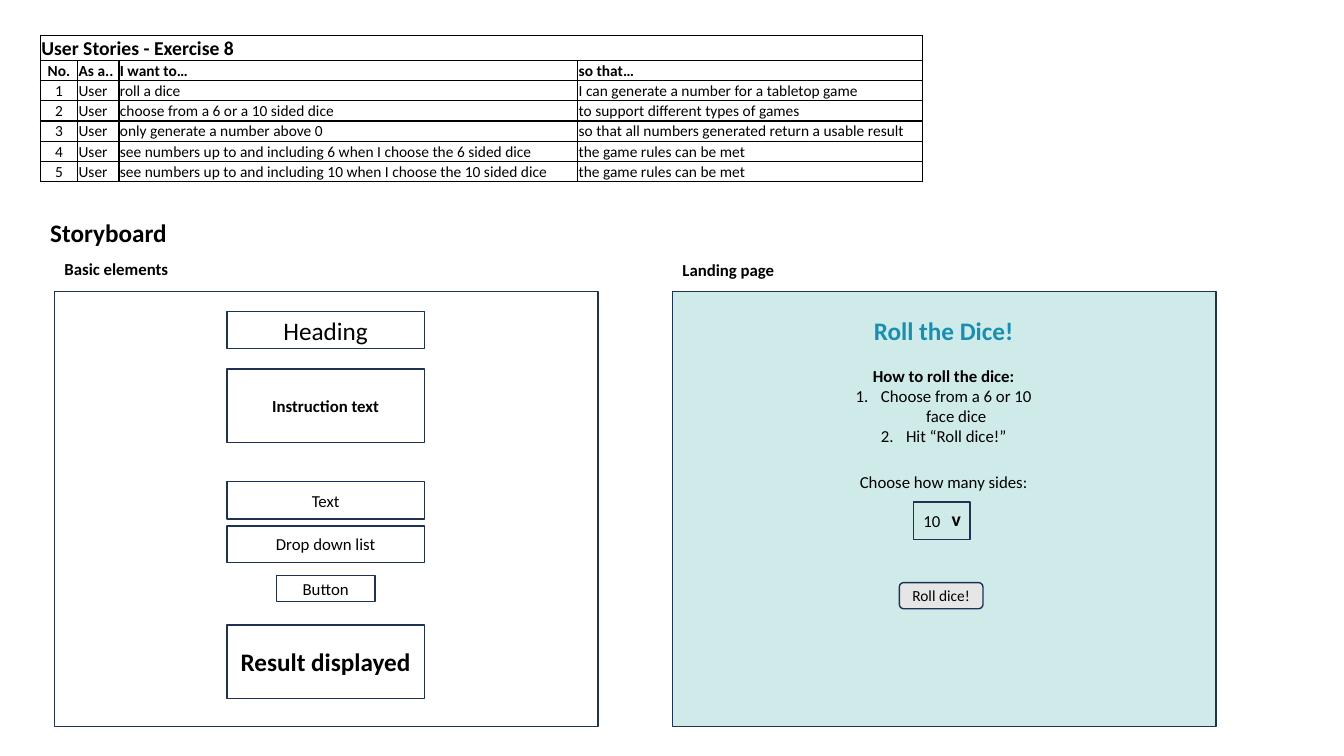
from lxml.etree import SubElement
from pptx import Presentation
from pptx.dml.color import RGBColor
from pptx.enum.shapes import MSO_SHAPE
from pptx.enum.text import MSO_ANCHOR, PP_ALIGN
from pptx.oxml.ns import qn
from pptx.util import Pt

EMU_PER_PX = 9144
BLACK = RGBColor(0x00, 0x00, 0x00)
WHITE = RGBColor(0xFF, 0xFF, 0xFF)
NAVY = RGBColor(0x1E, 0x32, 0x56)
MINT = RGBColor(0xCE, 0xEB, 0xEA)
TEAL = RGBColor(0x16, 0x8F, 0xB2)
BUTTON_GREY = RGBColor(0xE7, 0xE6, 0xE6)
FONT = "Calibri"

COLUMN_WIDTHS = (37, 41, 455, 342)
TITLE_HEIGHT, ROW_HEIGHT = 25, 20
STORIES_TITLE = "User Stories - Exercise 8"
HEADERS = ("No.", "As a..", "I want to…", "so that…")
STORIES = (
    ("roll a dice", "I can generate a number for a tabletop game"),
    ("choose from a 6 or a 10 sided dice", "to support different types of games"),
    ("only generate a number above 0", "so that all numbers generated return a usable result"),
    ("see numbers up to and including 6 when I choose the 6 sided dice", "the game rules can be met"),
    ("see numbers up to and including 10 when I choose the 10 sided dice", "the game rules can be met"),
)
PANEL_TOP, PANEL_WIDTH, PANEL_HEIGHT = 289, 539, 432
BASIC_LEFT, LANDING_LEFT = 54, 667
ELEMENT_LEFT, LANDING_TEXT_LEFT, ELEMENT_WIDTH = 225, 838, 196


def px(length):
    return length * EMU_PER_PX


def write_text(frame, text, size=12, bold=False, color=BLACK,
               align=PP_ALIGN.CENTER, numbered=False):
    paragraph = frame.paragraphs[-1]
    if paragraph.runs:
        paragraph = frame.add_paragraph()
    paragraph.alignment = align
    if numbered:
        properties = paragraph._p.get_or_add_pPr()
        properties.set("marL", str(px(25)))
        properties.set("indent", str(-px(25)))
        SubElement(properties, qn("a:buAutoNum"), type="arabicPeriod")
    run = paragraph.add_run()
    run.text = text
    run.font.name = FONT
    run.font.size = Pt(size)
    run.font.bold = bold
    run.font.color.rgb = color


def add_box(slide, left, top, width, height, text="", fill=None,
            kind=MSO_SHAPE.RECTANGLE, **text_format):
    box = slide.shapes.add_shape(kind, px(left), px(top), px(width), px(height))
    box.shadow.inherit = False
    box.line.color.rgb = NAVY
    box.line.width = Pt(1)
    if fill is None:
        box.fill.background()
    else:
        box.fill.solid()
        box.fill.fore_color.rgb = fill
    box.text_frame.vertical_anchor = MSO_ANCHOR.MIDDLE
    if text:
        write_text(box.text_frame, text, **text_format)


def add_label(slide, left, top, width, height, text,
              anchor=MSO_ANCHOR.MIDDLE, **text_format):
    label = slide.shapes.add_textbox(px(left), px(top), px(width), px(height))
    frame = label.text_frame
    frame.word_wrap = True
    frame.vertical_anchor = anchor
    write_text(frame, text, **text_format)
    return frame


def add_caption(slide, left, top, width, height, text, **text_format):
    add_label(slide, left, top, width, height, text, anchor=MSO_ANCHOR.TOP,
              bold=True, align=PP_ALIGN.LEFT, **text_format)


def style_cell(cell):
    cell.margin_left = cell.margin_top = cell.margin_right = px(1)
    cell.margin_bottom = 0
    cell.vertical_anchor = MSO_ANCHOR.BOTTOM
    properties = cell._tc.get_or_add_tcPr()
    for side in ("lnL", "lnR", "lnT", "lnB"):
        border = SubElement(properties, qn(f"a:{side}"), w=str(Pt(1)))
        border_fill = SubElement(border, qn("a:solidFill"))
        SubElement(border_fill, qn("a:srgbClr"), val=str(BLACK))
    cell.fill.solid()
    cell.fill.fore_color.rgb = WHITE


def add_user_stories(slide):
    rows = [HEADERS]
    rows += [(str(number), "User", *story) for number, story in enumerate(STORIES, 1)]
    height = TITLE_HEIGHT + ROW_HEIGHT * len(rows)
    stories = slide.shapes.add_table(
        len(rows) + 1, len(HEADERS), px(40), px(35), px(sum(COLUMN_WIDTHS)), px(height)).table
    stories.first_row = False
    stories.horz_banding = False
    for column, width in zip(stories.columns, COLUMN_WIDTHS):
        column.width = px(width)
    for row in stories.rows:
        row.height = px(ROW_HEIGHT)
    stories.rows[0].height = px(TITLE_HEIGHT)
    for cell in stories.iter_cells():
        style_cell(cell)
    title = stories.cell(0, 0)
    title.merge(stories.cell(0, len(HEADERS) - 1))
    write_text(title.text_frame, STORIES_TITLE, size=14, bold=True, align=PP_ALIGN.LEFT)
    for row_index, row in enumerate(rows, 1):
        for column_index, text in enumerate(row):
            write_text(stories.cell(row_index, column_index).text_frame, text,
                       size=11, bold=row_index == 1,
                       align=PP_ALIGN.LEFT if column_index else PP_ALIGN.CENTER)


def add_basic_elements(slide):
    add_caption(slide, BASIC_LEFT, 252, 569, 30, "Basic elements")
    add_box(slide, BASIC_LEFT, PANEL_TOP, PANEL_WIDTH, PANEL_HEIGHT)
    for top, height, text, size, bold in (
        (309, 37, "Heading", 18, False),
        (366, 73, "Instruction text", 12, True),
        (478, 37, "Text", 12, False),
        (522, 36, "Drop down list", 12, False),
        (620, 73, "Result displayed", 18, True),
    ):
        add_box(slide, ELEMENT_LEFT, top, ELEMENT_WIDTH, height, text, size=size, bold=bold)
    add_box(slide, 274, 571, 98, 26, "Button")


def add_landing_page(slide):
    add_caption(slide, LANDING_LEFT, 253, 569, 30, "Landing page")
    add_box(slide, LANDING_LEFT, PANEL_TOP, PANEL_WIDTH, PANEL_HEIGHT, fill=MINT)
    add_label(slide, LANDING_TEXT_LEFT, 309, ELEMENT_WIDTH, 37, "Roll the Dice!",
              size=18, bold=True, color=TEAL)
    instructions = add_label(slide, LANDING_TEXT_LEFT, 366, ELEMENT_WIDTH, 73,
                             "How to roll the dice:", bold=True)
    for step in ("Choose from a 6 or 10 face dice", "Hit “Roll dice!”"):
        write_text(instructions, step, numbered=True)
    add_label(slide, LANDING_TEXT_LEFT, 460, ELEMENT_WIDTH, 37, "Choose how many sides:")
    add_box(slide, 906, 498, 56, 37, "10", align=PP_ALIGN.LEFT)
    add_caption(slide, 934, 498, 56, 34, "v", size=14)
    add_box(slide, 892, 578, 83, 26, "Roll dice!", fill=BUTTON_GREY,
            kind=MSO_SHAPE.ROUNDED_RECTANGLE, size=11)


def main():
    deck = Presentation()
    deck.slide_width, deck.slide_height = px(1333), px(750)
    slide = deck.slides.add_slide(deck.slide_layouts[6])
    add_user_stories(slide)
    add_caption(slide, 40, 211, 214, 40, "Storyboard", size=18)
    add_basic_elements(slide)
    add_landing_page(slide)
    deck.save("out.pptx")


if __name__ == "__main__":
    main()
